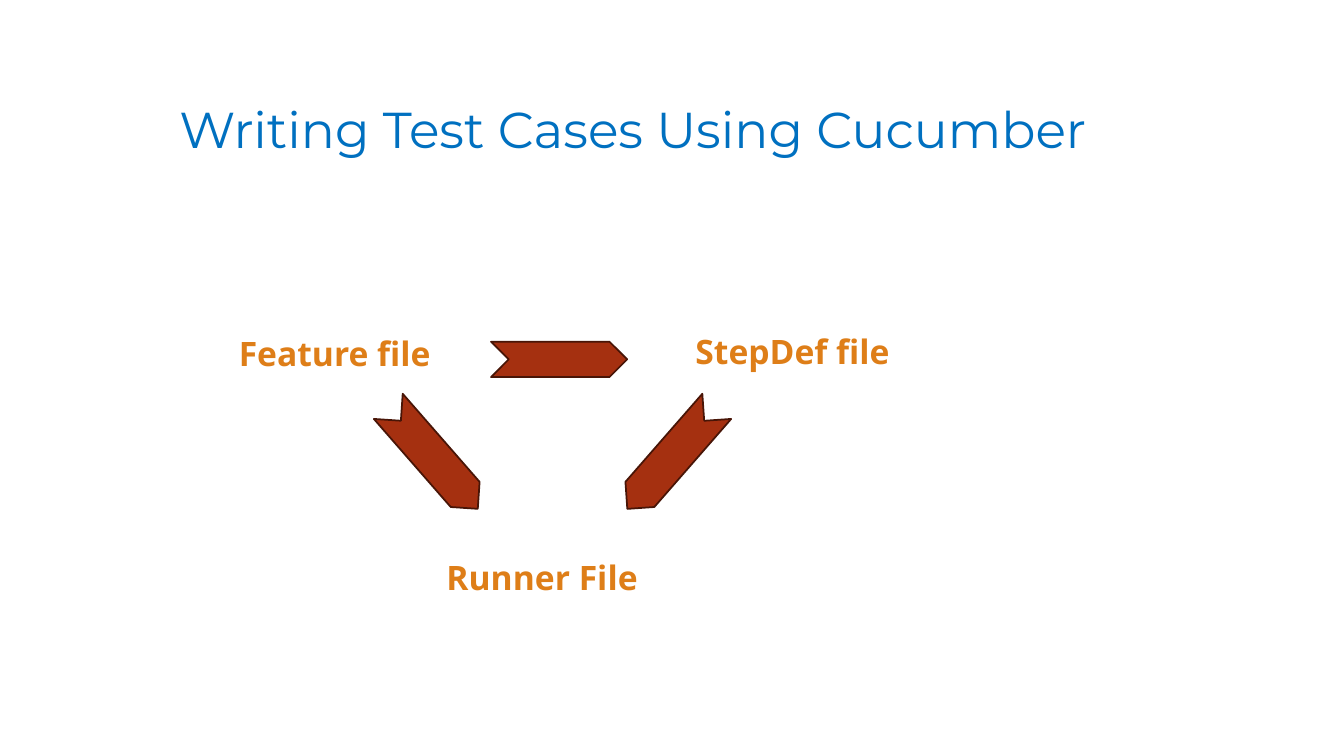
from pptx import Presentation
from pptx.dml.color import RGBColor
from pptx.enum.shapes import MSO_SHAPE
from pptx.enum.text import MSO_ANCHOR
from pptx.util import Inches, Pt

CHEVRON = MSO_SHAPE.CHEVRON
MIDDLE = MSO_ANCHOR.MIDDLE

TITLE_FORMAT = {"name": "Montserrat", "size": Pt(36), "bold": False}
LABEL_FORMAT = {"name": "Noto Sans", "size": Pt(24), "bold": True}
TITLE_COLOUR = "0070C0"
LABEL_COLOUR = "DE7E18"
ARROW_FILL = "A53010"
ARROW_LINE = "481507"

# Left, top, width and height, relative to the diagram's corner
FILE_LABELS = [
    ("Feature file", (0, 0.02, 2.6, 0.5)),
    ("Runner File", (2.06, 2.25, 2.51, 0.5)),
    ("StepDef file", (4.53, 0, 2.33, 0.5)),
]
# The same four lengths, then the rotation in degrees
ARROWS = [
    ((2.6, 0.16, 1.35, 0.35), 0),
    ((1.35, 1.12, 1.35, 0.38), 48.9),
    ((3.72, 1.12, 1.35, 0.38), 131.1),
]


def colour(hex_string):
    return RGBColor.from_string(hex_string)


def add_text(slide, box, text, font_format, font_colour):
    frame = slide.shapes.add_textbox(*map(Inches, box)).text_frame
    frame.word_wrap = True
    frame.vertical_anchor = MIDDLE
    span = frame.paragraphs[0].add_run()
    span.text = text
    for name, value in font_format.items():
        setattr(span.font, name, value)
    span.font.color.rgb = colour(font_colour)


def add_arrow(slide, box, rotation):
    arrow = slide.shapes.add_shape(CHEVRON, *map(Inches, box))
    arrow.rotation = rotation
    arrow.shadow.inherit = False
    arrow.fill.solid()
    arrow.fill.fore_color.rgb = colour(ARROW_FILL)
    arrow.line.color.rgb = colour(ARROW_LINE)
    arrow.line.width = Pt(1.25)


def add_title(slide, box):
    add_text(slide, box, "Writing Test Cases Using Cucumber", TITLE_FORMAT, TITLE_COLOUR)


def add_file_diagram(slide, left, top):
    """Place the three file labels and the arrows between them."""
    def place(box):
        return left + box[0], top + box[1], box[2], box[3]

    for text, box in FILE_LABELS:
        add_text(slide, place(box), text, LABEL_FORMAT, LABEL_COLOUR)
    for box, rotation in ARROWS:
        add_arrow(slide, place(box), rotation)


def main():
    deck = Presentation()
    deck.slide_width = Inches(13.33)
    deck.slide_height = Inches(7.5)
    page = deck.slides.add_slide(deck.slide_layouts[6])
    add_title(page, (1.68, 0.88, 10.72, 0.78))
    add_file_diagram(page, 2.27, 3.23)
    deck.save("out.pptx")


if __name__ == "__main__":
    main()
